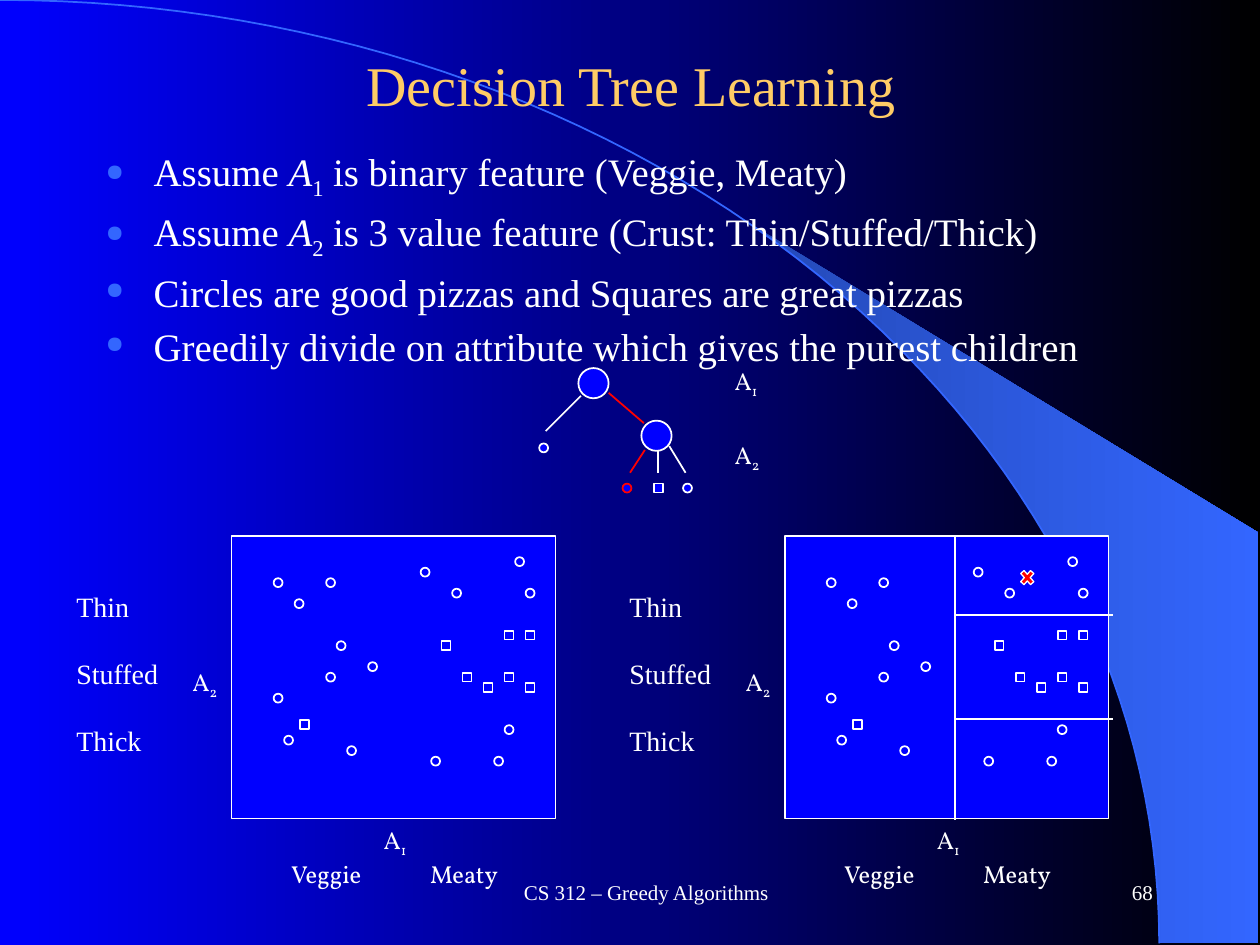
"""Build the decision tree learning slide."""
from math import asin, cos, pi, sin

from lxml.etree import SubElement
from pptx import Presentation
from pptx.dml.color import RGBColor
from pptx.enum.shapes import MSO_CONNECTOR as Connector, MSO_SHAPE as Shape
from pptx.enum.text import MSO_ANCHOR as Anchor, PP_ALIGN as Align
from pptx.oxml.ns import qn
from pptx.util import Cm, Pt

WHITE = RGBColor(0xFF, 0xFF, 0xFF)
BLACK = RGBColor(0x00, 0x00, 0x00)
BLUE = RGBColor(0x00, 0x00, 0xFF)
SKY = RGBColor(0x33, 0x66, 0xFF)
DUSK = RGBColor(0x24, 0x49, 0xB6)
RED = RGBColor(0xFF, 0x00, 0x00)
GOLD = RGBColor(0xFF, 0xCC, 0x66)
SERIF, LABEL = "Times New Roman", "Vollkorn"

A1 = [("A", ""), ("1", "sub")]
A2 = [("A", ""), ("2", "sub")]
BULLETS = [
    [("Assume ", ""), ("A", "italic"), ("1", "sub"), (" is binary feature (Veggie, Meaty)", "")],
    [("Assume ", ""), ("A", "italic"), ("2", "sub"),
     (" is 3 value feature (Crust: Thin/Stuffed/Thick)", "")],
    "Circles are good pizzas and Squares are great pizzas",
    "Greedily divide on attribute which gives the purest children",
]
CRUSTS = ["Thin", "Stuffed", "Thick"]
GOOD = [(4, 4), (6, 6), (9, 4), (28, 5), (27, 2), (5, 19), (4, 15), (9, 13), (10, 10),
        (21, 5), (19, 21), (26, 18), (25, 21), (13, 12), (11, 20), (18, 3)]
GREAT = [(26, 9), (28, 9), (6.5, 17.5), (22, 13), (24, 14), (28, 14), (20, 10), (26, 13)]
PANEL_LEFTS = [4.67, 15.82]
PANEL_TOP, PANEL_WIDTH, PANEL_HEIGHT = 10.81, 6.53, 5.69
STEP = 2.54 / 12
DOT, NODE = 0.18, 0.61

SPLITS = [
    (19.25, 10.82, 19.25, 16.54),
    (19.25, 12.4, 22.43, 12.4),
    (19.25, 14.5, 22.43, 14.5),
]
BRANCHES = [
    (11.71, 7.98, 11, 8.69, WHITE),
    (12.27, 7.92, 12.98, 8.53, RED),
    (13, 9.07, 12.7, 9.53, RED),
    (13.26, 9.09, 13.26, 9.53, WHITE),
    (13.49, 8.99, 13.82, 9.53, WHITE),
]
LEAVES = [
    (10.87, 8.94, Shape.OVAL, WHITE),
    (12.55, 9.75, Shape.OVAL, RED),
    (13.77, 9.75, Shape.OVAL, WHITE),
    (13.18, 9.75, Shape.RECTANGLE, WHITE),
]
NODES = [(11.66, 7.42), (12.93, 8.48)]
ARC_WIDTH, ARC_HEIGHT = 23.37, 19.02
WEDGE_START, WEDGE_RIGHT, WEDGE_TOP = 14.96, 25.37, 10.74


def add_text(slide, place, lines, *, size, font=SERIF, color=WHITE, align=Align.LEFT,
             anchor=Anchor.TOP, gap=0, bullet=False, tab=None, side=0.25, wrap=True):
    """Add a text box whose lines are strings or lists of (text, style) spans."""
    box = slide.shapes.add_textbox(*map(Cm, place))
    frame = box.text_frame
    frame.word_wrap, frame.vertical_anchor = wrap, anchor
    frame.margin_left = frame.margin_right = Cm(side)
    for index, line in enumerate(lines):
        para = frame.paragraphs[0] if index == 0 else frame.add_paragraph()
        para.alignment = align
        if index:
            para.space_before = Pt(gap)
        props = para._p.get_or_add_pPr()
        if bullet:
            props.set("marL", str(Cm(0.97)))
            props.set("indent", str(-Cm(0.97)))
            SubElement(SubElement(props, qn("a:buClr")), qn("a:srgbClr"), val=str(SKY))
            SubElement(props, qn("a:buSzPct"), val="60000")
            SubElement(props, qn("a:buChar"), char="●")
        if tab and "\t" in line:
            para.alignment = Align.LEFT
            stops = SubElement(props, qn("a:tabLst"))
            SubElement(stops, qn("a:tab"), pos=str(Cm(tab)), algn="l")
        for text, style in [(line, "")] if isinstance(line, str) else line:
            span = para.add_run()
            span.text = text
            span.font.size, span.font.name = Pt(size), font
            span.font.color.rgb = color
            if style == "italic":
                span.font.italic = True
            if style == "sub":
                span._r.get_or_add_rPr().set("baseline", "-25000")


def add_mark(slide, kind, place, *, fill=BLUE, line=WHITE, width=1):
    """Add an outlined preset shape."""
    mark = slide.shapes.add_shape(kind, *map(Cm, place))
    mark.shadow.inherit = False
    mark.fill.solid()
    mark.fill.fore_color.rgb = fill
    mark.line.color.rgb = line
    mark.line.width = Pt(width)


def add_line(slide, ends, color=WHITE):
    """Add a straight line between two points."""
    line = slide.shapes.add_connector(Connector.STRAIGHT, *map(Cm, ends))
    line.line.color.rgb = color
    line.line.width = Pt(1)
    SubElement(line._element.spPr, qn("a:effectLst"))


def set_gradient(fill, *colors):
    """Fill from left to right with two colours."""
    fill.gradient()
    fill.gradient_angle = 0
    for stop, color in zip(fill.gradient_stops, colors):
        stop.color.rgb = color


def arc_points(start, count=60):
    """Return points on the quarter ellipse from an angle to its lower end."""
    angles = [start + (pi / 2 - start) * i / count for i in range(count + 1)]
    return [(ARC_WIDTH * sin(a), ARC_HEIGHT * (1 - cos(a))) for a in angles]


def add_outline(slide, points, close):
    """Add a freeform through the points."""
    first, *rest = [(Cm(x), Cm(y)) for x, y in points]
    builder = slide.shapes.build_freeform(*first)
    builder.add_line_segments(rest, close=close)
    outline = builder.convert_to_shape()
    outline.shadow.inherit = False
    return outline


def add_backdrop(slide):
    """Draw the gradient, the wedge and the arc."""
    set_gradient(slide.background.fill, BLUE, BLACK)
    corners = [(WEDGE_RIGHT, ARC_HEIGHT), (WEDGE_RIGHT, WEDGE_TOP)]
    wedge = add_outline(slide, arc_points(asin(WEDGE_START / ARC_WIDTH)) + corners, True)
    set_gradient(wedge.fill, DUSK, SKY)
    wedge.line.fill.background()
    arc = add_outline(slide, arc_points(0), False)
    arc.fill.background()
    arc.line.color.rgb = SKY
    arc.line.width = Pt(1)


def add_panel(slide, left):
    """Draw one scatter panel with its axis labels."""
    add_mark(slide, Shape.RECTANGLE, (left, PANEL_TOP, PANEL_WIDTH, PANEL_HEIGHT))
    for kind, spots in ((Shape.OVAL, GOOD), (Shape.RECTANGLE, GREAT)):
        for column, row in spots:
            add_mark(slide, kind, (left + column * STEP, PANEL_TOP + row * STEP, DOT, DOT))
    add_text(slide, (left + 0.69, 16.51, 5.21, 1.45), [A1, "Veggie\tMeaty"], size=14,
             font=LABEL, align=Align.CENTER, tab=2.8, side=0.51)
    add_text(slide, (left - 1.04, 13.32, 1.07, 0.84), [A2], size=14, font=LABEL, wrap=False)
    add_text(slide, (left - 3.38, 11.76, 2.29, 3.68), CRUSTS, size=16, gap=19, wrap=False)


def add_tree(slide):
    """Draw the decision tree and its level labels."""
    for *ends, color in BRANCHES:
        add_line(slide, ends, color)
    for left, top, kind, color in LEAVES:
        add_mark(slide, kind, (left, top, DOT, DOT), line=color)
    for left, top in NODES:
        add_mark(slide, Shape.OVAL, (left, top, NODE, NODE))
    for top, label in ((7.26, A1), (8.74, A2)):
        add_text(slide, (14.56, top, 1.07, 0.84), [label], size=14, font=LABEL, wrap=False)


def main():
    """Assemble and save the deck."""
    deck = Presentation()
    deck.slide_width, deck.slide_height = Cm(25.4), Cm(19.05)
    page = deck.slides.add_slide(deck.slide_layouts[6])
    add_backdrop(page)
    add_text(page, (8.05, 17.35, 9.96, 1.27), ["CS 312 – Greedy Algorithms"], size=12,
             align=Align.CENTER, anchor=Anchor.MIDDLE)
    add_text(page, (18.21, 17.35, 5.28, 1.27), ["68"], size=12, align=Align.RIGHT,
             anchor=Anchor.MIDDLE)
    add_text(page, (1.88, 2.85, 21.18, 4.39), BULLETS, size=22.2, gap=4.3, bullet=True)
    add_text(page, (1.93, 0.53, 21.59, 2.34), ["Decision Tree Learning"], size=32, color=GOLD,
             align=Align.CENTER, anchor=Anchor.MIDDLE)
    for left in PANEL_LEFTS:
        add_panel(page, left)
    for ends in SPLITS:
        add_line(page, ends)
    add_tree(page)
    add_mark(page, Shape.MATH_MULTIPLY, (20.52, 11.43, 0.38, 0.43), fill=RED, width=0.75)
    deck.save("out.pptx")


if __name__ == "__main__":
    main()
